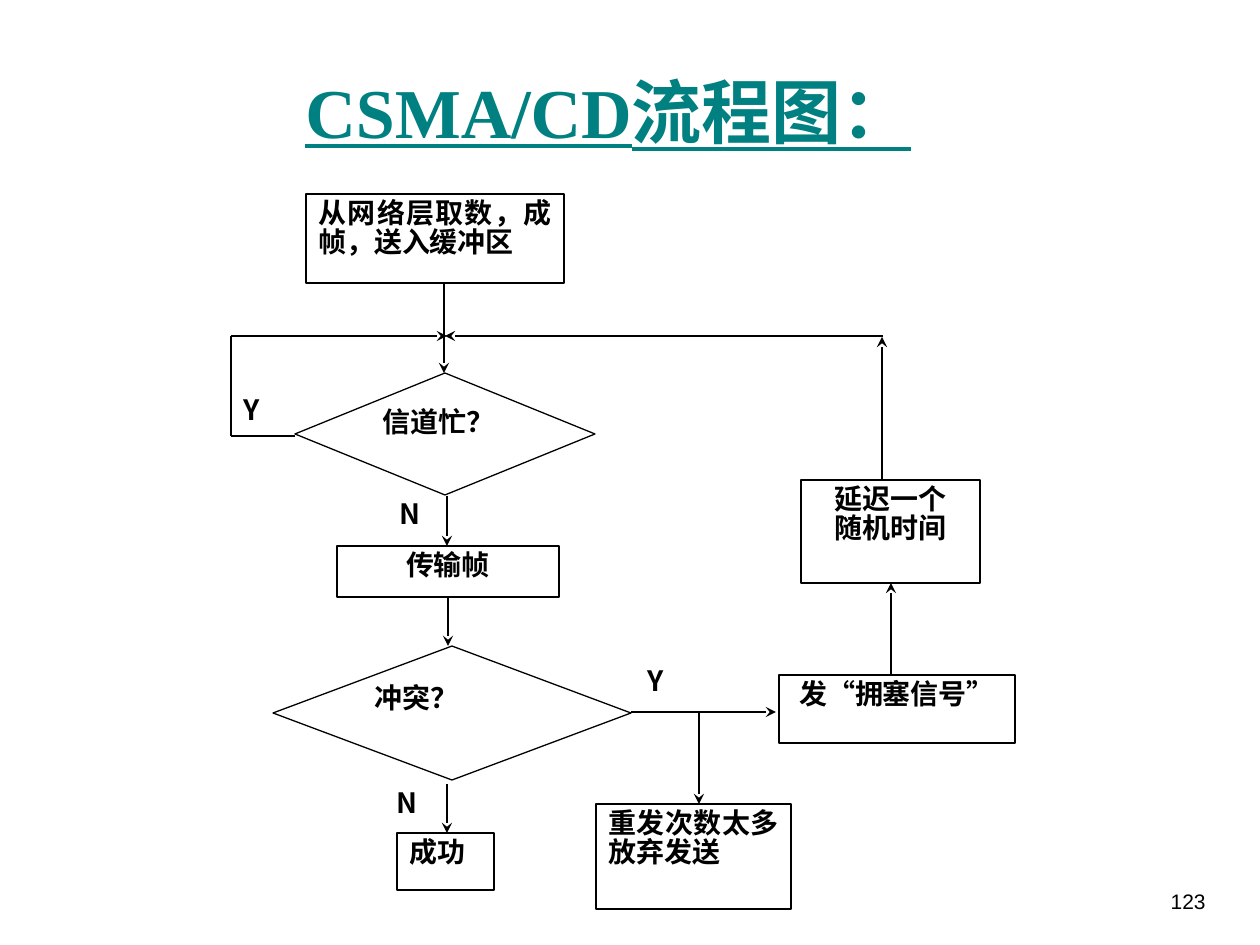
import pptx
import pptx.dml.color
import pptx.enum.lang
import pptx.enum.shapes
import pptx.enum.text
import pptx.oxml
import pptx.oxml.ns
import pptx.util
from dataclasses import dataclass

PX = 914400 / 126  # EMU in one px
COLORS = {"ink": "000000", "paper": "FFFFFF", "title": "008080"}
CJK = "Noto Sans CJK SC"
SHAPE = pptx.enum.shapes.MSO_SHAPE
ALIGN = pptx.enum.text.PP_ALIGN
ANCHOR = pptx.enum.text.MSO_ANCHOR


@dataclass
class Node:
    x: int
    y: int
    w: int
    h: int
    lines: tuple[str, ...]
    align: ALIGN = ALIGN.JUSTIFY
    shape: SHAPE = SHAPE.RECTANGLE
    outlined: bool = True


@dataclass
class Flow:
    x1: int
    y1: int
    x2: int
    y2: int
    arrow: bool = True


def emu(*px: int) -> list[int]:
    return [round(v * PX) for v in px]


def rgb(name: str) -> pptx.dml.color.RGBColor:
    return pptx.dml.color.RGBColor.from_string(COLORS[name])


def write(tf, lines, align, size, latin, color="ink", bold=True, underline=False, spacing=None) -> None:
    tf.word_wrap = True
    for i, line in enumerate(lines):
        p = tf.paragraphs[0] if i == 0 else tf.add_paragraph()
        p.alignment = align
        if spacing:
            p.line_spacing = spacing
        r = p.add_run()
        r.text = line
        r.font.name = latin
        r.font.size = pptx.util.Pt(size)
        r.font.bold = bold
        r.font.underline = underline
        r.font.color.rgb = rgb(color)
        r.font.language_id = pptx.enum.lang.MSO_LANGUAGE_ID.SIMPLIFIED_CHINESE
        # East Asian typeface follows the latin one
        ea = pptx.oxml.parse_xml(f'<a:ea {pptx.oxml.ns.nsdecls("a")} typeface="{CJK}"/>')
        r.font._element.find(pptx.oxml.ns.qn("a:latin")).addnext(ea)


def draw_node(s, n: Node) -> None:
    sp = s.shapes.add_shape(n.shape, *emu(n.x, n.y, n.w, n.h))
    sp.shadow.inherit = False
    sp.fill.solid()
    sp.fill.fore_color.rgb = rgb("paper")
    if n.outlined:
        sp.line.color.rgb = rgb("ink")
        sp.line.width = pptx.util.Pt(0.75)
    else:
        sp.line.fill.background()
    sp.text_frame.vertical_anchor = ANCHOR.TOP
    write(sp.text_frame, n.lines, n.align, 16, CJK, spacing=0.86)


def draw_flow(s, f: Flow) -> None:
    straight = pptx.enum.shapes.MSO_CONNECTOR.STRAIGHT
    cx = s.shapes.add_connector(straight, *emu(f.x1, f.y1, f.x2, f.y2))
    cx.line.color.rgb = rgb("ink")
    cx.line.width = pptx.util.Pt(0.75)
    ns = pptx.oxml.ns.nsdecls("a")
    if f.arrow:
        cx.line._get_or_add_ln().append(pptx.oxml.parse_xml(f'<a:tailEnd {ns} type="stealth"/>'))
    cx._element.spPr.append(pptx.oxml.parse_xml(f"<a:effectLst {ns}/>"))


def label(x: int, y: int, text: str) -> Node:
    return Node(x, y, 60, 46, (text,), outlined=False)


NODES = [
    # Branch labels
    label(387, 495, "N"), label(384, 784, "N"), label(635, 662, "Y"), label(231, 391, "Y"),
    # Main column
    Node(306, 194, 258, 89, ("从网络层取数，成帧，送入缓冲区",), shape=SHAPE.FLOWCHART_PROCESS),
    Node(295, 373, 300, 122, ("信道忙？",), shape=SHAPE.FLOWCHART_DECISION),
    Node(337, 546, 222, 51, ("传输帧",), ALIGN.CENTER),
    Node(273, 646, 358, 134, ("冲突？",), shape=SHAPE.FLOWCHART_DECISION),
    Node(397, 833, 97, 57, ("成功",)),
    # Collision handling
    Node(596, 804, 195, 105, ("重发次数太多放弃发送",)),
    Node(779, 675, 236, 68, ("发“拥塞信号”",), ALIGN.CENTER),
    Node(801, 480, 179, 103, ("延迟一个", "随机时间"), ALIGN.CENTER),
]

FLOWS = [
    # Down the main column
    Flow(444, 283, 444, 373), Flow(447, 496, 447, 546),
    Flow(448, 597, 448, 646), Flow(447, 784, 447, 833),
    # Busy channel loop
    Flow(295, 436, 231, 436, False), Flow(231, 436, 231, 336, False), Flow(231, 336, 447, 336),
    # Collision branch and return
    Flow(631, 712, 776, 712), Flow(699, 712, 699, 804), Flow(891, 675, 891, 583),
    Flow(882, 480, 882, 337), Flow(883, 336, 445, 336),
]


def main() -> None:
    prs = pptx.Presentation()
    prs.slide_width, prs.slide_height = emu(1260, 945)
    s = prs.slides.add_slide(prs.slide_layouts[6])

    # Title and page number
    tf = s.shapes.add_textbox(*emu(73, 32, 1071, 157)).text_frame
    tf.vertical_anchor = ANCHOR.MIDDLE
    write(tf, ("CSMA/CD流程图：",), ALIGN.CENTER, 40, "Times New Roman", "title", underline=True)
    tf = s.shapes.add_textbox(*emu(1125, 882, 93, 63)).text_frame
    write(tf, ("123",), ALIGN.RIGHT, 12, "Arial", bold=False)

    # Flow chart
    for n in NODES:
        draw_node(s, n)
    for f in FLOWS:
        draw_flow(s, f)

    prs.save("out.pptx")


if __name__ == "__main__":
    main()
